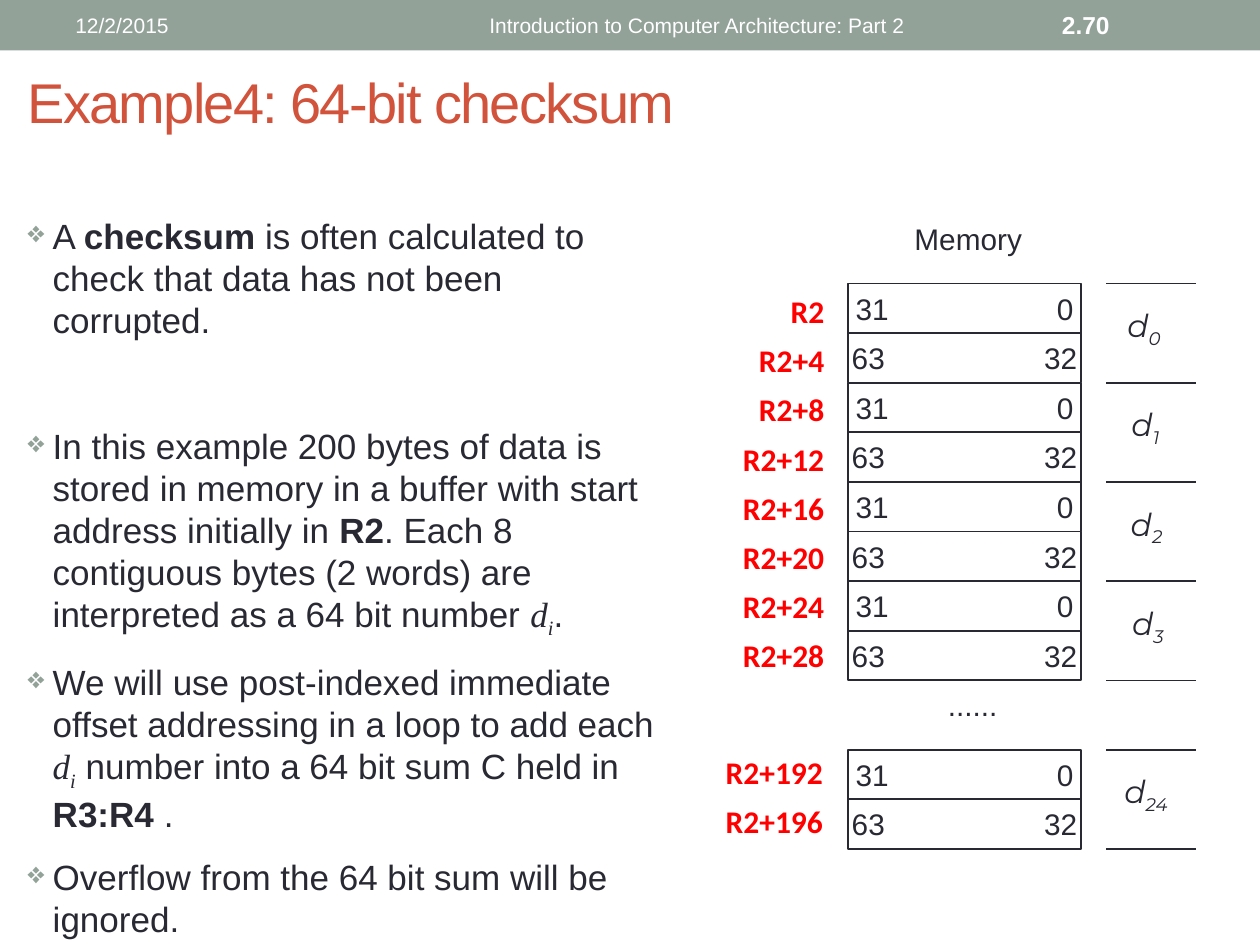
from lxml.etree import SubElement
from pptx import Presentation
from pptx.dml.color import RGBColor
from pptx.enum.shapes import MSO_CONNECTOR, MSO_SHAPE
from pptx.enum.text import MSO_ANCHOR, PP_ALIGN
from pptx.oxml.ns import qn
from pptx.util import Inches, Pt

COLORS = {
    "band": "93A299",
    "title": "D2533C",
    "ink": "292934",
    "address": "FF0000",
    "white": "FFFFFF",
}
CELL_LEFT, CELL_WIDTH = 6.73, 1.85
CELL_HEIGHT = 3.15 / 8
MARK_LEFT, MARK_RIGHT = 8.78, 9.49

MATH_D = [("d", "math"), ("i", "math sub")]
BULLETS = [
    (0, [("A ", ""), ("checksum", "bold"),
         (" is often calculated to check that data has not been corrupted.", "")]),
    (48, [("In this example 200 bytes of data is stored in memory in a buffer "
           "with start address initially in ", ""), ("R2", "bold"),
          (". Each 8 contiguous bytes (2 words) are interpreted as a 64 bit number ", ""),
          *MATH_D, (".", "")]),
    (12, [("We will use post-indexed immediate offset addressing in a loop to add each ", ""),
          *MATH_D, (" number into a 64 bit sum C held in ", ""),
          ("R3:R4", "bold"), (" .", "")]),
    (12, [("Overflow from the 64 bit sum will be ignored.", "")]),
]


def rgb(color):
    return RGBColor.from_string(COLORS[color])


class SlideBuilder:
    def __init__(self, slide, font="Arial"):
        self.slide = slide
        self.font = font

    def style(self, paragraph, size, color="ink", font=None, bold=None, italic=None):
        paragraph.font.name = font or self.font
        paragraph.font.size = Pt(size)
        paragraph.font.color.rgb = rgb(color)
        paragraph.font.bold = bold
        paragraph.font.italic = italic

    def add_runs(self, paragraph, runs):
        for text, look in runs:
            run = paragraph.add_run()
            run.text = text
            if "bold" in look:
                run.font.bold = True
            if "math" in look:
                run.font.name = "Times New Roman"
                run.font.italic = True
            if "sub" in look:
                run._r.get_or_add_rPr().set("baseline", "-25000")

    def rectangle(self, left, top, width, height, fill, line=None):
        shape = self.slide.shapes.add_shape(
            MSO_SHAPE.RECTANGLE, Inches(left), Inches(top), Inches(width), Inches(height))
        shape.shadow.inherit = False
        shape.fill.solid()
        shape.fill.fore_color.rgb = rgb(fill)
        if line:
            shape.line.color.rgb = rgb(line)
            shape.line.width = Pt(1)
        else:
            shape.line.fill.background()
        return shape

    def frame(self, left, top, width, height, wrap=True, anchor=MSO_ANCHOR.TOP):
        box = self.slide.shapes.add_textbox(
            Inches(left), Inches(top), Inches(width), Inches(height))
        box.text_frame.word_wrap = wrap
        box.text_frame.vertical_anchor = anchor
        return box.text_frame

    def text(self, place, lines, size, color="ink", align=PP_ALIGN.LEFT, wrap=True,
             anchor=MSO_ANCHOR.TOP, spacing=None, tracking=None, **look):
        frame = self.frame(*place, wrap=wrap, anchor=anchor)
        for index, runs in enumerate(lines):
            paragraph = frame.paragraphs[0] if index == 0 else frame.add_paragraph()
            paragraph.alignment = align
            if spacing:
                paragraph.line_spacing = spacing
            self.style(paragraph, size, color, **look)
            self.add_runs(paragraph, runs)
            if tracking:
                for run in paragraph.runs:
                    run._r.get_or_add_rPr().set("spc", str(tracking * 100))

    def bullets(self, place, items, size):
        frame = self.frame(*place)
        for index, (space_before, runs) in enumerate(items):
            paragraph = frame.paragraphs[0] if index == 0 else frame.add_paragraph()
            properties = paragraph._p.get_or_add_pPr()
            properties.set("marL", str(Inches(0.2)))
            properties.set("indent", str(Inches(-0.2)))
            bullet_color = SubElement(properties, qn("a:buClr"))
            SubElement(bullet_color, qn("a:srgbClr")).set("val", COLORS["band"])
            SubElement(properties, qn("a:buSzPct")).set("val", "85000")
            SubElement(properties, qn("a:buChar")).set("char", "❖")
            if space_before:
                paragraph.space_before = Pt(space_before)
            self.style(paragraph, size)
            self.add_runs(paragraph, runs)

    def memory_word(self, top, high_bit, low_bit, inset):
        shape = self.rectangle(CELL_LEFT, top, CELL_WIDTH, CELL_HEIGHT, "white", "ink")
        frame = shape.text_frame
        frame.word_wrap = True
        frame.vertical_anchor = MSO_ANCHOR.MIDDLE
        frame.margin_left = Inches(inset)
        frame.margin_right = frame.margin_top = frame.margin_bottom = 0
        paragraph = frame.paragraphs[0]
        paragraph.alignment = PP_ALIGN.LEFT
        tabs = SubElement(paragraph._p.get_or_add_pPr(), qn("a:tabLst"))
        tab = SubElement(tabs, qn("a:tab"))
        tab.set("pos", str(Inches(CELL_WIDTH - 2 * inset)))
        tab.set("algn", "r")
        self.style(paragraph, 17)
        self.add_runs(paragraph, [(f"{high_bit}\t{low_bit}", "")])

    def mark(self, top):
        line = self.slide.shapes.add_connector(
            MSO_CONNECTOR.STRAIGHT, Inches(MARK_LEFT), Inches(top),
            Inches(MARK_RIGHT), Inches(top))
        line.line.color.rgb = rgb("ink")
        line.line.width = Pt(1)
        SubElement(line._element.spPr, qn("a:effectLst"))

    def memory_block(self, top, first_index, pairs, label_left, label_width):
        """Stack 64-bit numbers, each made of two 32-bit words."""
        for pair in range(pairs):
            pair_top = top + 2 * pair * CELL_HEIGHT
            self.memory_word(pair_top, 31, 0, inset=0.06)
            self.memory_word(pair_top + CELL_HEIGHT, 63, 32, inset=0.03)
            self.text((label_left + 0.01 * pair, pair_top + 0.13, label_width, 0.51),
                      [[("d", ""), (str(first_index + pair), "sub")]], 18,
                      align=PP_ALIGN.CENTER, wrap=False, font="Montserrat", italic=True)
        for pair in range(pairs + 1):
            self.mark(top + 2 * pair * CELL_HEIGHT)

    def addresses(self, place, offsets):
        lines = [[(f"R2+{offset}" if offset else "R2", "")] for offset in offsets]
        self.text(place, lines, 18, "address", PP_ALIGN.RIGHT, wrap=False,
                  spacing=1.3, font="Calibri", bold=True)


def main():
    presentation = Presentation()
    presentation.slide_width = Inches(10)
    presentation.slide_height = Inches(7.5)
    slide = presentation.slides.add_slide(presentation.slide_layouts[6])
    builder = SlideBuilder(slide)
    middle = MSO_ANCHOR.MIDDLE

    # Header band
    builder.rectangle(0, 0, 10, 0.4, "band")
    builder.text((0.5, 0.02, 2.06, 0.36), [[("12/2/2015", "")]], 12, "white", anchor=middle)
    builder.text((2.78, 0.02, 4.5, 0.36),
                 [[("Introduction to Computer Architecture: Part 2", "")]],
                 12, "white", PP_ALIGN.RIGHT, anchor=middle)
    builder.text((8.33, 0.02, 1.17, 0.36), [[("2.70", "")]], 14, "white",
                 anchor=middle, bold=True)

    # Title and explanation
    builder.text((0.12, 0.44, 9, 0.73), [[("Example4: 64-bit checksum", "")]],
                 32, "title", anchor=middle, tracking=-1)
    builder.bullets((0.12, 1.65, 5.28, 5.8), BULLETS, 20)

    # Memory diagram
    builder.text((7.15, 1.7, 1.07, 0.39), [[("Memory", "")]], 17,
                 align=PP_ALIGN.CENTER, wrap=False)
    builder.memory_block(2.25, 0, 4, 8.84, 0.48)
    builder.addresses((5.79, 2.18, 0.85, 3.25), range(0, 32, 4))
    builder.text((7.42, 5.4, 0.6, 0.39), [[("......", "")]], 17,
                 align=PP_ALIGN.CENTER, wrap=False)
    builder.memory_block(5.95, 24, 1, 8.8, 0.59)
    builder.addresses((5.65, 5.84, 0.98, 0.89), (192, 196))

    presentation.save("out.pptx")


if __name__ == "__main__":
    main()
